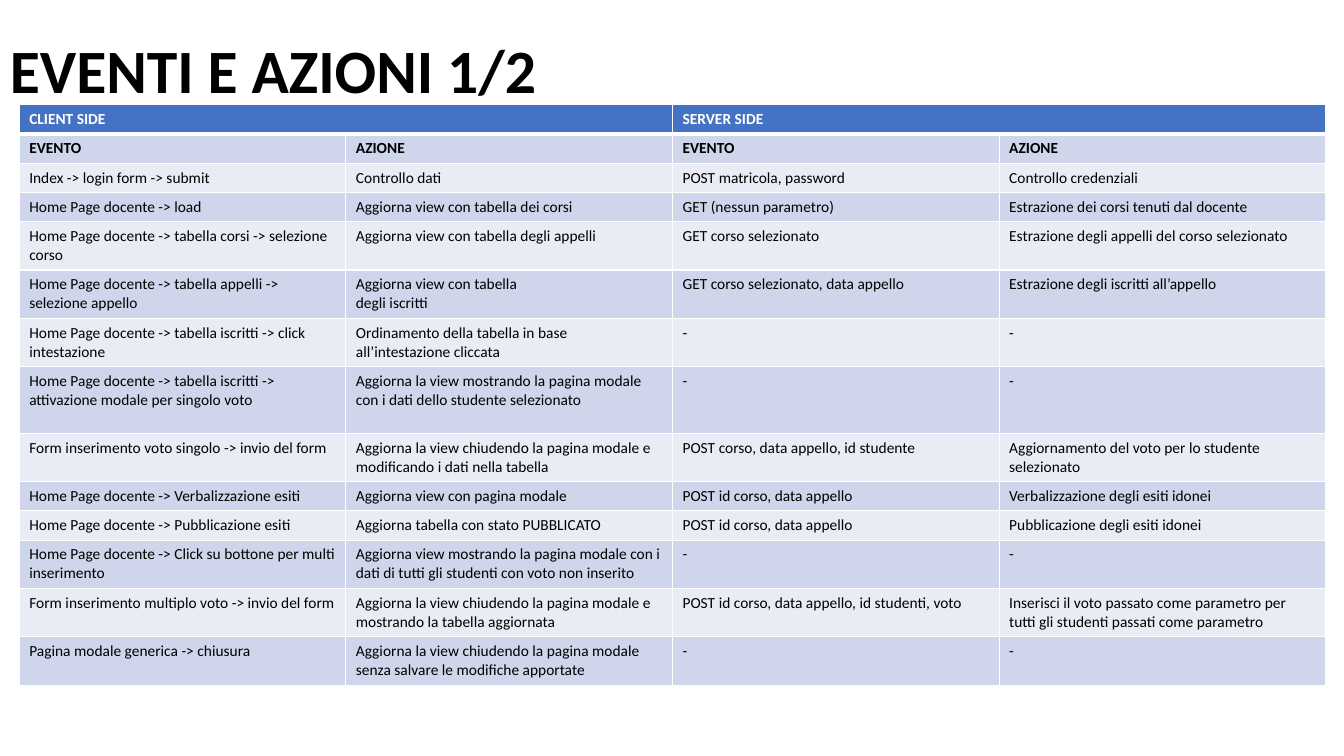
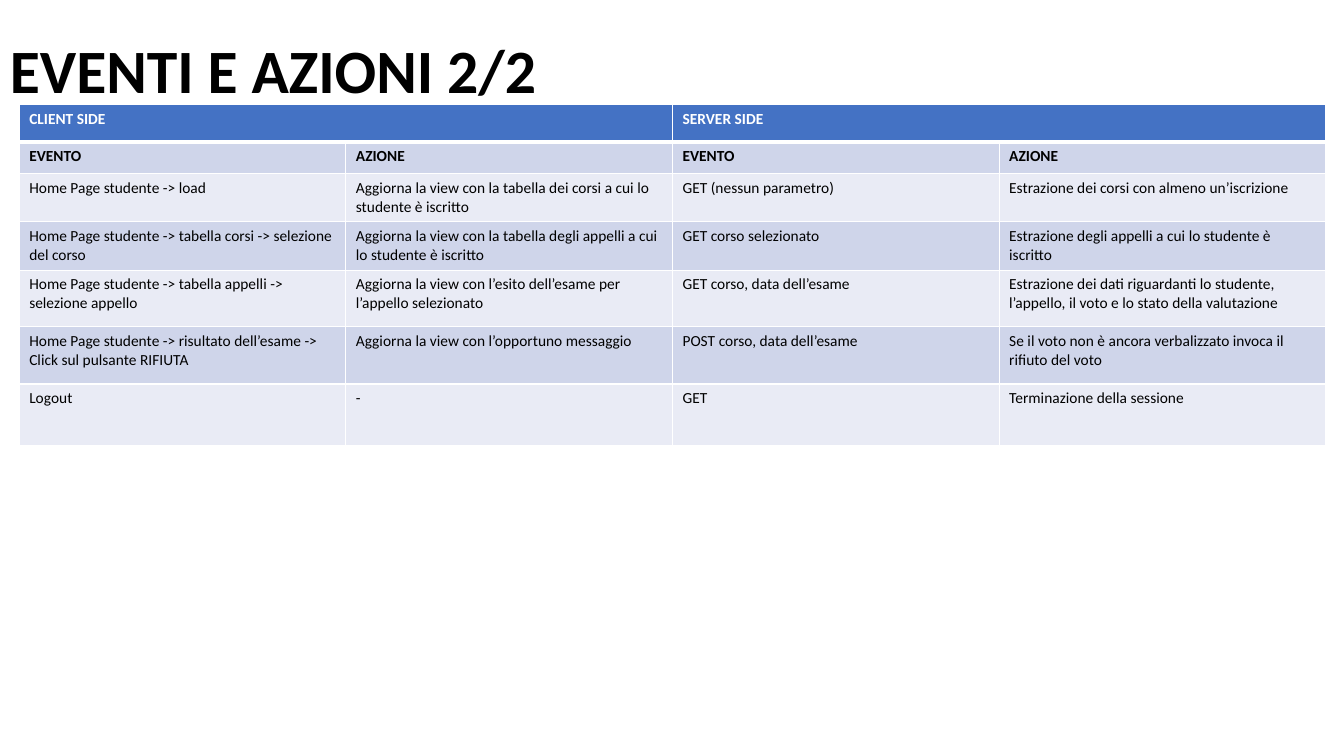
from dataclasses import dataclass

import lxml.etree
import pptx
import pptx.dml.color
import pptx.enum.text
import pptx.oxml
import pptx.oxml.ns
import pptx.util

FONT = "Calibri"
BLACK = "000000"
WHITE = "FFFFFF"
HEADER_BLUE = "4472C4"
BAND_FILLS = ("CFD5EA", "E9EBF5")
TITLE_SIZE = 44
CELL_SIZE = 11
COLUMN_WIDTH = 3.24
ONE_LINE, TWO_LINES, THREE_LINES = 0.29, 0.48, 0.66

SIDES = ("CLIENT SIDE", "SERVER SIDE")
COLUMN_NAMES = ("EVENTO", "AZIONE") * len(SIDES)


@dataclass(frozen=True)
class EventRow:
    client_event: str
    client_action: str
    server_event: str = "-"
    server_action: str = "-"
    height: float = ONE_LINE

    def texts(self) -> tuple[str, ...]:
        return (self.client_event, self.client_action,
                self.server_event, self.server_action)


@dataclass(frozen=True)
class EventPage:
    title: str
    header_heights: tuple[float, float]
    rows: tuple[EventRow, ...]


PAGES = (
    EventPage("EVENTI E AZIONI 1/2", (ONE_LINE, ONE_LINE), (
        EventRow("Index -> login form -> submit", "Controllo dati",
                 "POST matricola, password", "Controllo credenziali"),
        EventRow("Home Page docente -> load",
                 "Aggiorna view con tabella dei corsi",
                 "GET (nessun parametro)",
                 "Estrazione dei corsi tenuti dal docente"),
        EventRow("Home Page docente -> tabella corsi -> selezione corso",
                 "Aggiorna view con tabella degli appelli",
                 "GET corso selezionato",
                 "Estrazione degli appelli del corso selezionato", TWO_LINES),
        EventRow("Home Page docente -> tabella appelli -> selezione appello",
                 "Aggiorna view con tabella\ndegli iscritti",
                 "GET corso selezionato, data appello",
                 "Estrazione degli iscritti all’appello", TWO_LINES),
        EventRow("Home Page docente -> tabella iscritti -> click intestazione",
                 "Ordinamento della tabella in base all’intestazione cliccata",
                 height=TWO_LINES),
        EventRow("Home Page docente -> tabella iscritti ->\n"
                 "attivazione modale per singolo voto",
                 "Aggiorna la view mostrando la pagina modale con i dati "
                 "dello studente selezionato", height=THREE_LINES),
        EventRow("Form inserimento voto singolo -> invio del form",
                 "Aggiorna la view chiudendo la pagina modale e modificando "
                 "i dati nella tabella",
                 "POST corso, data appello, id studente",
                 "Aggiornamento del voto per lo studente selezionato",
                 TWO_LINES),
        EventRow("Home Page docente -> Verbalizzazione esiti",
                 "Aggiorna view con pagina modale",
                 "POST id corso, data appello",
                 "Verbalizzazione degli esiti idonei"),
        EventRow("Home Page docente -> Pubblicazione esiti",
                 "Aggiorna tabella con stato PUBBLICATO",
                 "POST id corso, data appello",
                 "Pubblicazione degli esiti idonei"),
        EventRow("Home Page docente -> Click su bottone per multi inserimento",
                 "Aggiorna view mostrando la pagina modale con i dati di "
                 "tutti gli studenti con voto non inserito",
                 height=TWO_LINES),
        EventRow("Form inserimento multiplo voto -> invio del form",
                 "Aggiorna la view chiudendo la pagina modale e mostrando "
                 "la tabella aggiornata",
                 "POST id corso, data appello, id studenti, voto",
                 "Inserisci il voto passato come parametro per tutti gli "
                 "studenti passati come parametro", TWO_LINES),
        EventRow("Pagina modale generica -> chiusura",
                 "Aggiorna la view chiudendo la pagina modale senza salvare "
                 "le modifiche apportate", height=TWO_LINES),
    )),
    EventPage("EVENTI E AZIONI 2/2", (0.37, 0.31), (
        EventRow("Home Page studente -> load",
                 "Aggiorna la view con la tabella dei corsi a cui lo studente "
                 "è iscritto",
                 "GET (nessun parametro)",
                 "Estrazione dei corsi con almeno un’iscrizione", TWO_LINES),
        EventRow("Home Page studente -> tabella corsi -> selezione del corso",
                 "Aggiorna la view con la tabella degli appelli a cui lo "
                 "studente è iscritto",
                 "GET corso selezionato",
                 "Estrazione degli appelli a cui lo studente è iscritto",
                 TWO_LINES),
        EventRow("Home Page studente -> tabella appelli -> selezione appello",
                 "Aggiorna la view con l’esito dell’esame per l’appello "
                 "selezionato",
                 "GET corso, data dell’esame",
                 "Estrazione dei dati riguardanti lo studente, l’appello, "
                 "il voto e lo stato della valutazione", 0.56),
        EventRow("Home Page studente -> risultato dell’esame ->\n"
                 "Click sul pulsante RIFIUTA",
                 "Aggiorna la view con l’opportuno messaggio",
                 "POST corso, data dell’esame",
                 "Se il voto non è ancora verbalizzato invoca il rifiuto "
                 "del voto", 0.57),
        EventRow("Logout", "-", "GET", "Terminazione della sessione", 0.61),
    )),
)


def rgb(value: str) -> pptx.dml.color.RGBColor:
    return pptx.dml.color.RGBColor.from_string(value)


def style_font(para, size: float, color: str, bold: bool) -> None:
    para.font.name = FONT
    para.font.size = pptx.util.Pt(size)
    para.font.bold = bold
    para.font.color.rgb = rgb(color)


def add_title(page, text: str) -> None:
    box = page.shapes.add_textbox(0, 0, pptx.util.Inches(13.33),
                                  pptx.util.Inches(1.45))
    frame = box.text_frame
    frame.word_wrap = True
    frame.vertical_anchor = pptx.enum.text.MSO_ANCHOR.MIDDLE
    frame.text = text
    para = frame.paragraphs[0]
    para.line_spacing = 0.9
    style_font(para, TITLE_SIZE, BLACK, True)


def set_borders(cell, top: float, bottom: float) -> None:
    """Draw white borders; top and bottom are widths in points."""
    properties = cell._tc.get_or_add_tcPr()
    for side, width in (("L", 1), ("R", 1), ("T", top), ("B", bottom)):
        line = lxml.etree.SubElement(properties,
                                     pptx.oxml.ns.qn(f"a:ln{side}"),
                                     w=str(pptx.util.Pt(width)))
        fill = lxml.etree.SubElement(line, pptx.oxml.ns.qn("a:solidFill"))
        lxml.etree.SubElement(fill, pptx.oxml.ns.qn("a:srgbClr"), val=WHITE)


def style_cell(cell, row_index: int) -> None:
    is_header = row_index == 0
    set_borders(cell, top=3 if row_index == 1 else 1,
                bottom=3 if is_header else 1)
    cell.fill.solid()
    cell.fill.fore_color.rgb = rgb(
        HEADER_BLUE if is_header else BAND_FILLS[(row_index - 1) % 2])
    for para in cell.text_frame.paragraphs:
        style_font(para, CELL_SIZE, WHITE if is_header else BLACK,
                   row_index < 2)


def add_event_table(page, content: EventPage) -> None:
    heights = [*content.header_heights, *(row.height for row in content.rows)]
    side_texts = [text for side in SIDES for text in (side, "")]
    texts = [side_texts, COLUMN_NAMES, *(row.texts() for row in content.rows)]
    column_count = len(COLUMN_NAMES)
    table = page.shapes.add_table(
        len(texts), column_count, pptx.util.Inches(0.19),
        pptx.util.Inches(1.04),
        pptx.util.Inches(COLUMN_WIDTH * column_count),
        pptx.util.Inches(sum(heights))).table
    table.first_row = table.horz_banding = False
    for column in table.columns:
        column.width = pptx.util.Inches(COLUMN_WIDTH)
    for row_index, (row_texts, height) in enumerate(zip(texts, heights)):
        table.rows[row_index].height = pptx.util.Inches(height)
        for column_index, text in enumerate(row_texts):
            cell = table.cell(row_index, column_index)
            cell.text = text
            style_cell(cell, row_index)
    for first in range(0, column_count, 2):
        table.cell(0, first).merge(table.cell(0, first + 1))


def main() -> None:
    deck = pptx.Presentation()
    deck.slide_width = pptx.util.Inches(13.33)
    deck.slide_height = pptx.util.Inches(7.5)
    for content in PAGES:
        page = deck.slides.add_slide(deck.slide_layouts[6])
        add_title(page, content.title)
        add_event_table(page, content)
    deck.save("out.pptx")


if __name__ == "__main__":
    main()
